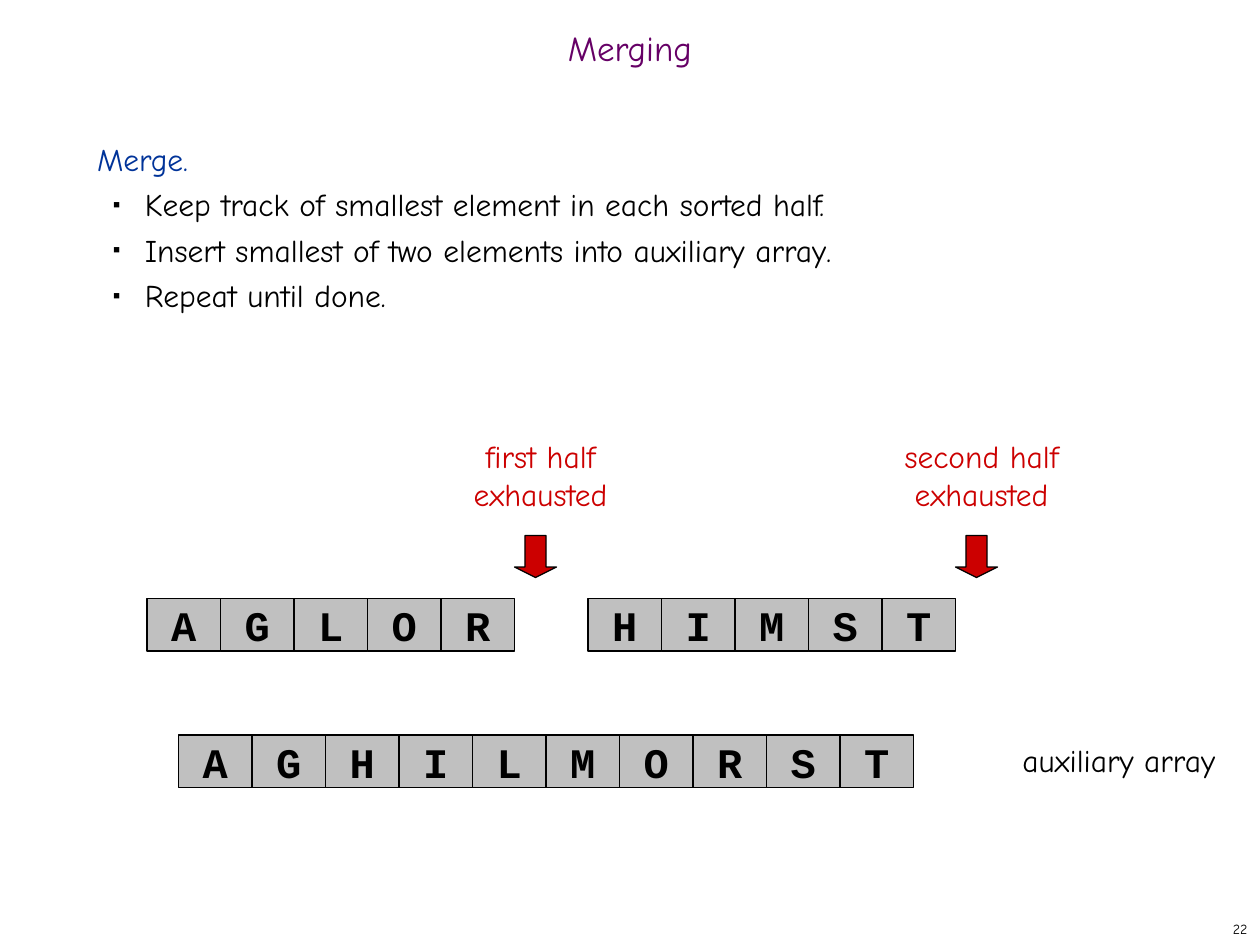
from dataclasses import dataclass

from lxml.etree import SubElement
from pptx import Presentation
from pptx.dml.color import RGBColor as RGB
from pptx.enum.shapes import MSO_SHAPE as Shape
from pptx.enum.text import MSO_ANCHOR as Anchor, MSO_AUTO_SIZE as AutoSize, PP_ALIGN as Align
from pptx.oxml.ns import qn
from pptx.util import Inches, Pt


@dataclass(frozen=True)
class Theme:
    """Fonts, colours and type sizes of the slide."""
    text_font: str = "Comic Neue"
    cell_font: str = "Courier New"
    black: RGB = RGB(0x00, 0x00, 0x00)
    purple: RGB = RGB(0x66, 0x00, 0x66)
    blue: RGB = RGB(0x00, 0x33, 0x99)
    red: RGB = RGB(0xCC, 0x00, 0x00)
    gray: RGB = RGB(0xC0, 0xC0, 0xC0)
    arrow_line: RGB = RGB(0x01, 0x00, 0x00)
    title: Pt = Pt(20)
    body: Pt = Pt(18)
    cell: Pt = Pt(24)
    number: Pt = Pt(8)
    line: Pt = Pt(0.75)


@dataclass(frozen=True)
class Row:
    """A run of letter cells starting at left, top."""
    letters: str
    left: float
    top: float
    grouped: bool


@dataclass(frozen=True)
class Label:
    """A centred text box, given line by line."""
    lines: tuple[str, ...]
    left: float
    top: float
    width: float
    height: float
    color: RGB


T = Theme()
CELL_W, CELL_H = 7 / 12, 5 / 12
ARROW = 1 / 3
ROWS = (
    Row("AGLOR", 14 / 12, 4.75, True),
    Row("HIMST", 56 / 12, 4.75, True),
    Row("AGHILMORST", 17 / 12, 70 / 12, False),
)
LABELS = (
    Label(("auxiliary array",), 7.92, 5.83, 1.92, 0.4, T.black),
    Label(("first half", "exhausted"), 3.25, 3.42, 2.08, 0.7, T.red),
    Label(("second half", "exhausted"), 6.75, 3.42, 2.08, 0.7, T.red),
)
STEPS = (
    "Keep track of smallest element in each sorted half.",
    "Insert smallest of two elements into auxiliary array.",
    "Repeat until done.",
)


def add_run(p, text: str, size: Pt, color: RGB, font: str = T.text_font, bold: bool = False) -> None:
    """Add one formatted run to a paragraph."""
    r = p.add_run()
    r.text = text
    r.font.name, r.font.size, r.font.bold = font, size, bold
    r.font.color.rgb = color


def place(s, left: float, top: float, width: float, height: float) -> None:
    """Move and size a shape, in inches."""
    s.left, s.top, s.width, s.height = map(Inches, (left, top, width, height))


def paint(s, fill: RGB, line: RGB) -> None:
    """Give a shape a flat fill and a thin outline."""
    s.shadow.inherit = False
    s.fill.solid()
    s.fill.fore_color.rgb = fill
    s.line.color.rgb = line
    s.line.width = T.line


def set_bullet(p) -> None:
    """Give a paragraph a small black square bullet with a hanging indent."""
    pPr = p._p.get_or_add_pPr()
    pPr.set("marL", str(Inches(0.38)))
    pPr.set("indent", str(Inches(-0.25)))
    color = SubElement(pPr, qn("a:buClr"))
    SubElement(color, qn("a:srgbClr"), val=str(T.black))
    SubElement(pPr, qn("a:buSzPct"), val="35000")
    SubElement(pPr, qn("a:buChar"), char="■")


def add_title(s) -> None:
    """Fill the title placeholder."""
    place(s, 0, 0.17, 10, 0.5)
    tf = s.text_frame
    tf.auto_size, tf.vertical_anchor = AutoSize.NONE, Anchor.MIDDLE
    p = tf.paragraphs[0]
    p.alignment, p.line_spacing = Align.CENTER, 0.7
    add_run(p, "Merging", T.title, T.purple)


def add_body(s) -> None:
    """Fill the body placeholder with the heading and its steps."""
    place(s, 0.67, 1, 8.58, 5.92)
    tf = s.text_frame
    tf.auto_size = AutoSize.NONE
    p = tf.paragraphs[0]
    p.line_spacing, p.space_before = Pt(26), Pt(0)
    pPr = p._p.get_or_add_pPr()
    pPr.set("marL", "0")
    pPr.set("indent", "0")
    SubElement(pPr, qn("a:buNone"))
    add_run(p, "Merge.", T.body, T.blue)
    for step in STEPS:
        p = tf.add_paragraph()
        p.level, p.line_spacing, p.space_before = 1, Pt(26), Pt(0)
        set_bullet(p)
        add_run(p, step, T.body, T.black)


def add_label(shapes, label: Label) -> None:
    """Draw a centred label."""
    s = shapes.add_textbox(0, 0, 0, 0)
    place(s, label.left, label.top, label.width, label.height)
    tf = s.text_frame
    tf.word_wrap, tf.auto_size = True, AutoSize.SHAPE_TO_FIT_TEXT
    p = tf.paragraphs[0]
    p.alignment, p.space_before = Align.CENTER, Pt(11.2)
    for i, line in enumerate(label.lines):
        if i:
            p.add_line_break()
        add_run(p, line, T.body, label.color)


def add_row(shapes, row: Row) -> None:
    """Draw a row of letter cells."""
    target = shapes.add_group_shape().shapes if row.grouped else shapes
    for i, letter in enumerate(row.letters):
        s = target.add_shape(Shape.RECTANGLE, Inches(row.left + i * CELL_W), Inches(row.top),
                             Inches(CELL_W), Inches(CELL_H))
        paint(s, T.gray, T.black)
        tf = s.text_frame
        tf.word_wrap, tf.vertical_anchor = False, Anchor.MIDDLE
        p = tf.paragraphs[0]
        p.alignment = Align.CENTER
        add_run(p, letter, T.cell, T.black, T.cell_font, True)


def add_end_arrow(shapes, row: Row) -> None:
    """Draw the arrow just past the last cell of a row."""
    left = row.left + len(row.letters) * CELL_W
    s = shapes.add_shape(Shape.DOWN_ARROW, Inches(left), Inches(row.top - 0.5),
                         Inches(ARROW), Inches(ARROW))
    s.adjustments[0], s.adjustments[1] = 0.5, 0.25
    paint(s, T.red, T.arrow_line)


def add_number(shapes) -> None:
    """Draw the page number in the lower right corner."""
    s = shapes.add_textbox(0, 0, 0, 0)
    place(s, 7.92, 7.25, 2.08, 0.25)
    tf = s.text_frame
    tf.word_wrap, tf.vertical_anchor = False, Anchor.MIDDLE
    p = tf.paragraphs[0]
    p.alignment = Align.RIGHT
    add_run(p, "22", T.number, T.black)


def main() -> None:
    """Build and save the slide."""
    prs = Presentation()
    prs.slide_width, prs.slide_height = Inches(10), Inches(7.5)
    shapes = prs.slides.add_slide(prs.slide_layouts[1]).shapes
    add_title(shapes.title)
    add_body(shapes.placeholders[1])
    add_number(shapes)
    for label in LABELS:
        add_label(shapes, label)
    for row in ROWS:
        add_row(shapes, row)
        if row.grouped:
            add_end_arrow(shapes, row)
    prs.save("out.pptx")


if __name__ == "__main__":
    main()
